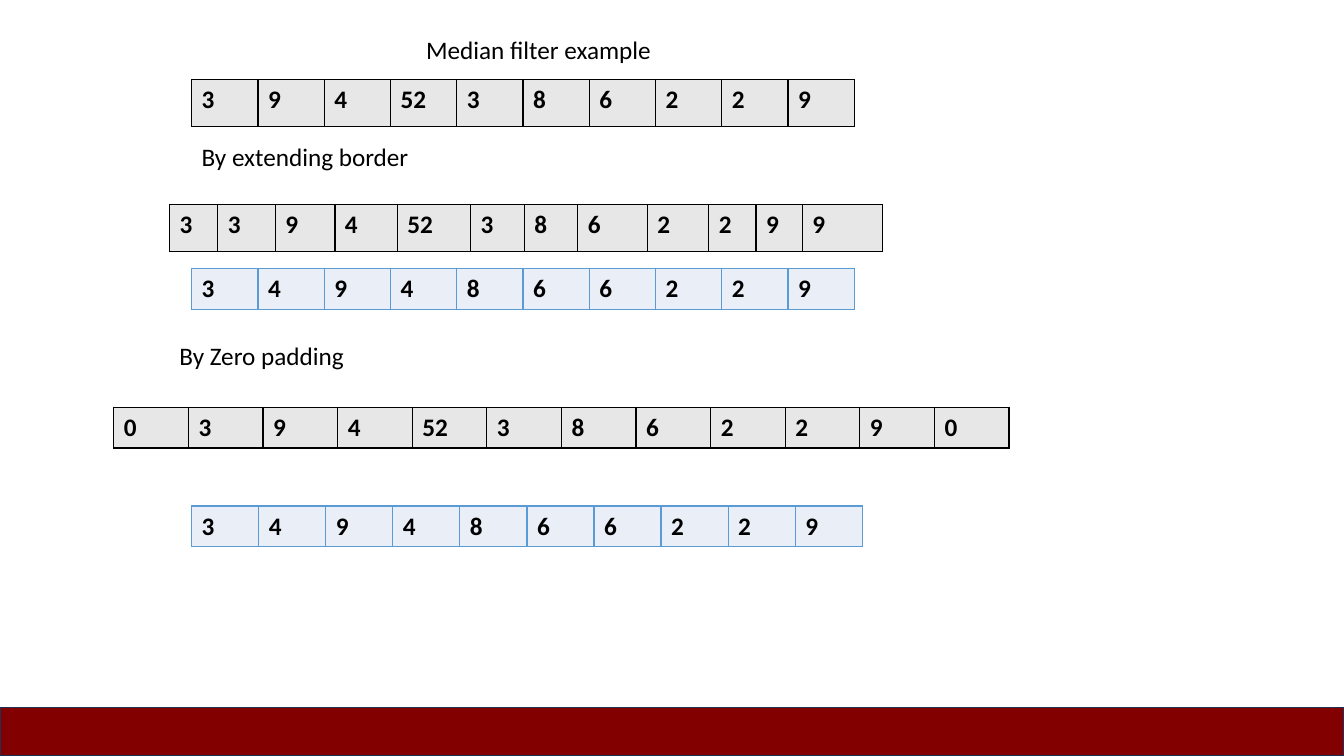
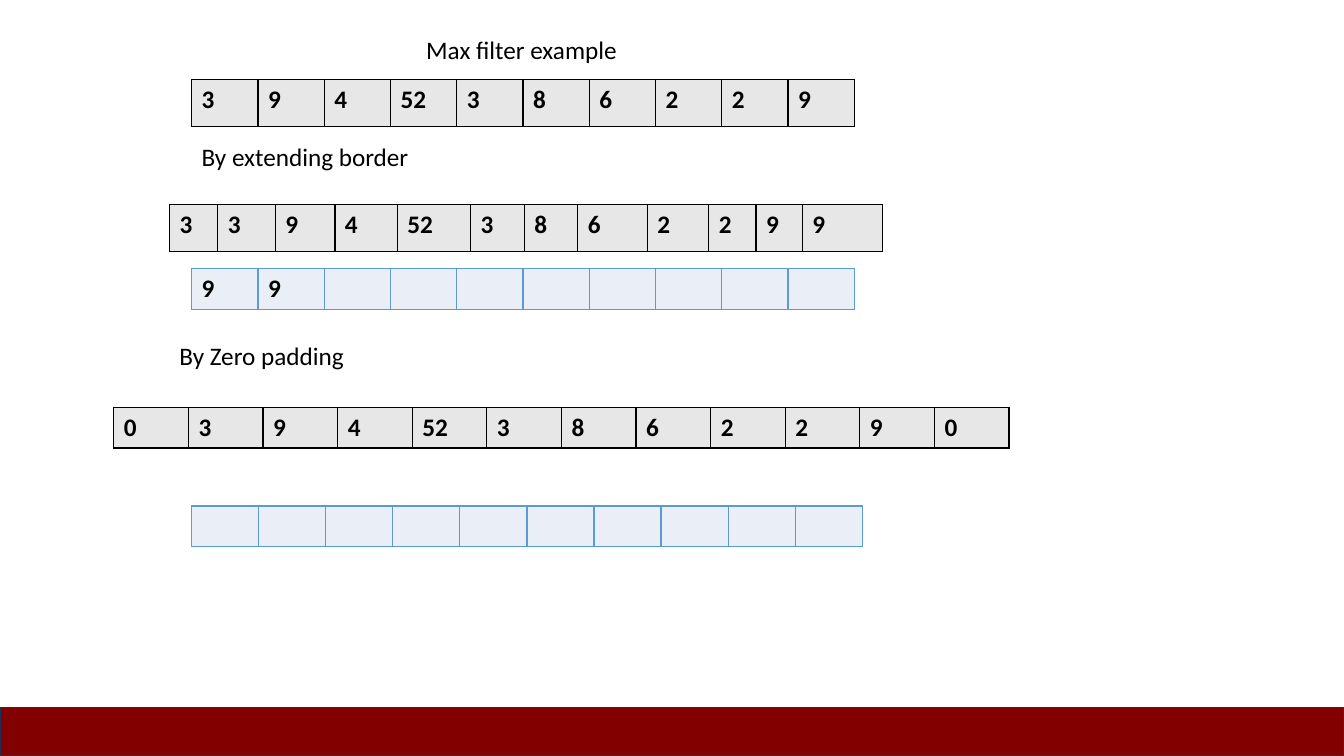
from dataclasses import dataclass

from lxml.etree import SubElement
from pptx import Presentation
from pptx.dml.color import RGBColor
from pptx.enum.shapes import MSO_SHAPE
from pptx.enum.text import MSO_AUTO_SIZE
from pptx.oxml.ns import qn
from pptx.util import Cm, Pt


@dataclass(frozen=True)
class Theme:
    """Colours, font and sizes shared by the slides."""
    font: str = "Calibri"
    size: float = 18
    line: float = 1
    text: str = "000000"
    input_fill: str = "E7E7E7"
    input_line: str = "000000"
    result_fill: str = "EAEFF7"
    result_line: str = "5B9BD5"
    band_fill: str = "820000"
    band_line: str = "1E3256"


class Deck:
    """Holds the theme and the current slide, and draws its elements."""

    def __init__(self, theme):
        """Start an empty widescreen presentation."""
        self.theme = theme
        self.prs = Presentation()
        self.prs.slide_width, self.prs.slide_height = Cm(33.87), Cm(19.05)

    def slide(self, title):
        """Add a blank slide with its title and bottom band."""
        self.s = self.prs.slides.add_slide(self.prs.slide_layouts[6])
        self.label(title, 10.49, 0.74, 7.72)
        self.band()

    def style(self, p, bold=False):
        """Apply the theme font to a paragraph."""
        p.font.name = self.theme.font
        p.font.size = Pt(self.theme.size)
        p.font.bold = bold
        p.font.color.rgb = RGBColor.from_string(self.theme.text)

    def label(self, text, x, y, width):
        """Add one line of plain text."""
        tf = self.s.shapes.add_textbox(Cm(x), Cm(y), Cm(width), Cm(1.02)).text_frame
        tf.word_wrap = True
        tf.auto_size = MSO_AUTO_SIZE.SHAPE_TO_FIT_TEXT
        tf.text = text
        self.style(tf.paragraphs[0])

    def band(self):
        """Add the coloured band along the bottom edge."""
        height = Cm(1.22)
        sp = self.s.shapes.add_shape(MSO_SHAPE.RECTANGLE, 0, self.prs.slide_height - height,
                                     self.prs.slide_width, height)
        sp.shadow.inherit = False
        sp.fill.solid()
        sp.fill.fore_color.rgb = RGBColor.from_string(self.theme.band_fill)
        sp.line.color.rgb = RGBColor.from_string(self.theme.band_line)
        sp.line.width = Pt(self.theme.line)

    def border(self, cell, color):
        """Draw a line on all four sides of a cell."""
        tc_pr = cell._tc.get_or_add_tcPr()
        for i, side in enumerate(("a:lnL", "a:lnR", "a:lnT", "a:lnB")):
            ln = SubElement(tc_pr, qn(side), w=str(Pt(self.theme.line)))
            SubElement(SubElement(ln, qn("a:solidFill")), qn("a:srgbClr"), val=color)
            tc_pr.insert(i, ln)

    def row(self, values, x, y, widths, height, fill, line):
        """Add a one-row table of signal values."""
        table = self.s.shapes.add_table(1, len(widths), Cm(x), Cm(y),
                                        Cm(sum(widths)), Cm(height)).table
        table.first_row = table.horz_banding = False
        table.rows[0].height = Cm(height)
        for i, width in enumerate(widths):
            table.columns[i].width = Cm(width)
            cell = table.cell(0, i)
            cell.fill.solid()
            cell.fill.fore_color.rgb = RGBColor.from_string(fill)
            self.border(cell, line)
            if i < len(values):
                cell.text = str(values[i])
            self.style(cell.text_frame.paragraphs[0], bold=True)

    def inputs(self, values, x, y, widths, height):
        """Add a grey row of input values."""
        self.row(values, x, y, widths, height, self.theme.input_fill, self.theme.input_line)

    def results(self, values, y, width):
        """Add a blue row of filtered values, blank where not yet known."""
        self.row(values, 4.83, y, [width / 10] * 10, 1.03,
                 self.theme.result_fill, self.theme.result_line)


SIGNAL = [3, 9, 4, 52, 3, 8, 6, 2, 2, 9]
EXTENDED = SIGNAL[:1] + SIGNAL + SIGNAL[-1:]
PADDED = [0] + SIGNAL + [0]
EXTENDED_WIDTHS = [1.22, 1.45, 1.5, 1.57, 1.85, 1.35, 1.35, 1.75, 1.55, 1.19, 1.17, 2.03]
MEDIAN = [3, 4, 9, 4, 8, 6, 6, 2, 2, 9]
EXAMPLES = [
    ("Median filter example", MEDIAN, MEDIAN),
    ("Max filter example", [9, 9], []),
]


def main():
    """Build one slide per filter and save the file."""
    deck = Deck(Theme())
    for title, extended_result, padded_result in EXAMPLES:
        deck.slide(title)
        deck.inputs(SIGNAL, 4.83, 2.01, [1.67] * 10, 1.17)
        deck.label("By extending border", 4.83, 3.43, 6.63)
        deck.inputs(EXTENDED, 4.27, 5.16, EXTENDED_WIDTHS, 1.17)
        deck.results(extended_result, 6.76, 16.7)
        deck.label("By Zero padding", 4.27, 8.46, 6.25)
        deck.inputs(PADDED, 2.87, 10.26, [1.88] * 12, 1.03)
        deck.results(padded_result, 12.75, 16.9)
    deck.prs.save("out.pptx")


if __name__ == "__main__":
    main()
